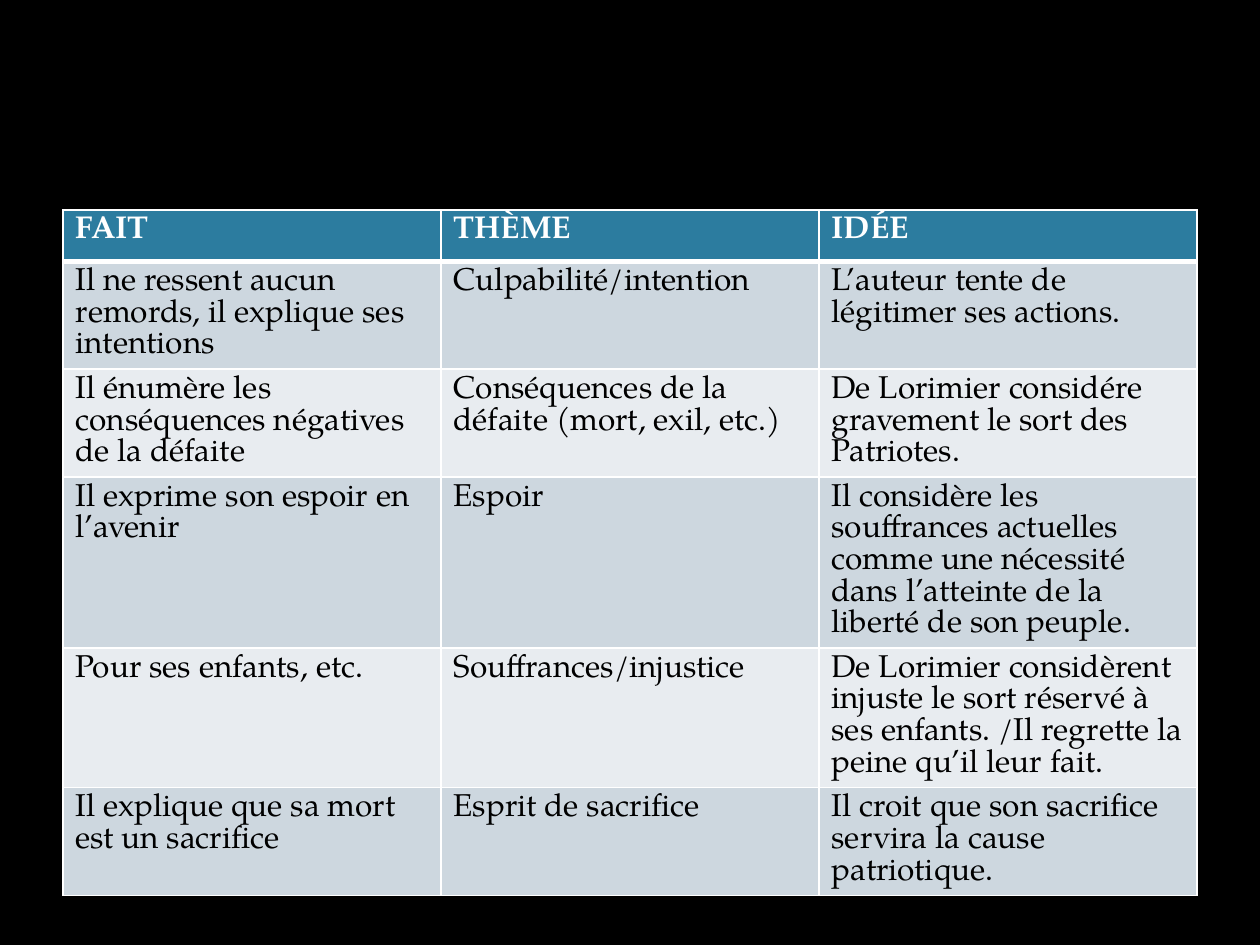
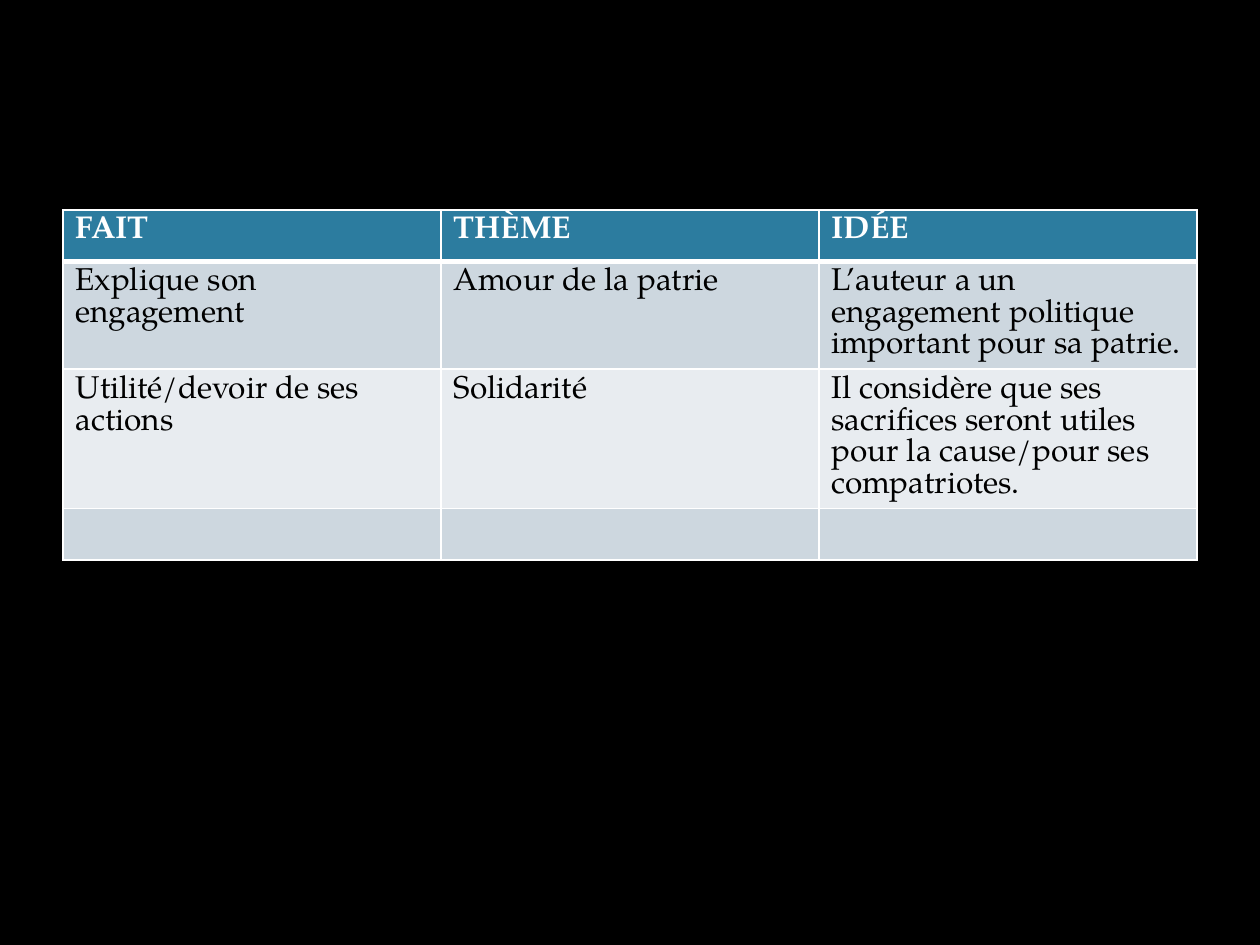
from pptx import Presentation, util as u
from pptx.dml import color
from pptx.oxml import ns
from lxml import etree

# Content
HEADINGS = ("FAIT", "THÈME", "IDÉE")
SLIDES = [
    [
        ("Il ne ressent aucun remords, il explique ses intentions",
         "Culpabilité/intention",
         "L’auteur tente de légitimer ses actions."),
        ("Il énumère les conséquences négatives de la défaite",
         "Conséquences de la défaite (mort, exil, etc.)",
         "De Lorimier considére gravement le sort des Patriotes."),
        ("Il exprime son espoir en l’avenir",
         "Espoir",
         "Il considère les souffrances actuelles comme une nécessité "
         "dans l’atteinte de la liberté de son peuple."),
        ("Pour ses enfants, etc.",
         "Souffrances/injustice",
         "De Lorimier considèrent injuste le sort réservé à ses enfants. "
         "/Il regrette la peine qu’il leur fait."),
        ("Il explique que sa mort est un sacrifice",
         "Esprit de sacrifice",
         "Il croit que son sacrifice servira la cause patriotique."),
    ],
    [
        ("Explique son engagement",
         "Amour de la patrie",
         "L’auteur a un engagement politique important pour sa patrie. "),
        ("Utilité/devoir de ses actions",
         "Solidarité",
         "Il considère que ses sacrifices seront utiles pour la cause/"
         "pour ses compatriotes."),
        ("", "", ""),
    ],
]

# Shared look
FONT = "TeX Gyre Pagella"
BLACK, WHITE = "000000", "FFFFFF"
HEADER_FILL, BANDS = "2C7C9F", ("CDD7DF", "E8ECF0")
LEFT, TOP = u.Cm(1.27), u.Cm(4.23)
COLUMN_WIDTH, ROW_HEIGHT = u.Cm(7.62), u.Cm(1.04)


def rgb(value):
    return color.RGBColor.from_string(value)


def fill_solid(target, value):
    target.fill.solid()
    target.fill.fore_color.rgb = rgb(value)


def write(frame, words, size=18, ink=BLACK, bold=False):
    span = frame.paragraphs[0].add_run()
    span.text = words
    span.font.name, span.font.size = FONT, u.Pt(size)
    span.font.bold, span.font.color.rgb = bold, rgb(ink)


def add_borders(cell, **widths):
    """Draw white borders; 1 pt unless a side (L, R, T, B) says otherwise."""
    properties = cell._tc.get_or_add_tcPr()
    for side in "LRTB":
        line = etree.SubElement(properties, ns.qn(f"a:ln{side}"),
                                w=str(u.Pt(widths.get(side, 1))))
        paint = etree.SubElement(line, ns.qn("a:solidFill"))
        etree.SubElement(paint, ns.qn("a:srgbClr"), val=WHITE)


def add_analysis_table(page, body):
    rows = [HEADINGS, *body]
    table = page.shapes.add_table(
        len(rows), len(HEADINGS), LEFT, TOP,
        COLUMN_WIDTH * len(HEADINGS), ROW_HEIGHT * len(rows)).table
    for column in table.columns:
        column.width = COLUMN_WIDTH
    for r, row in enumerate(rows):
        table.rows[r].height = ROW_HEIGHT
        header = r == 0
        # A thick rule separates the header from the body
        rule = {"B": 3} if header else {"T": 3} if r == 1 else {}
        for c, words in enumerate(row):
            cell = table.cell(r, c)
            add_borders(cell, **rule)
            fill_solid(cell, HEADER_FILL if header else BANDS[(r - 1) % 2])
            if words:
                write(cell.text_frame, words, bold=header,
                      ink=WHITE if header else BLACK)


# Build the deck
deck = Presentation()
deck.slide_width, deck.slide_height = u.Cm(25.4), u.Cm(19.05)
for body in SLIDES:
    page = deck.slides.add_slide(deck.slide_layouts[6])
    fill_solid(page.background, BLACK)
    add_analysis_table(page, body)
deck.save("out.pptx")
